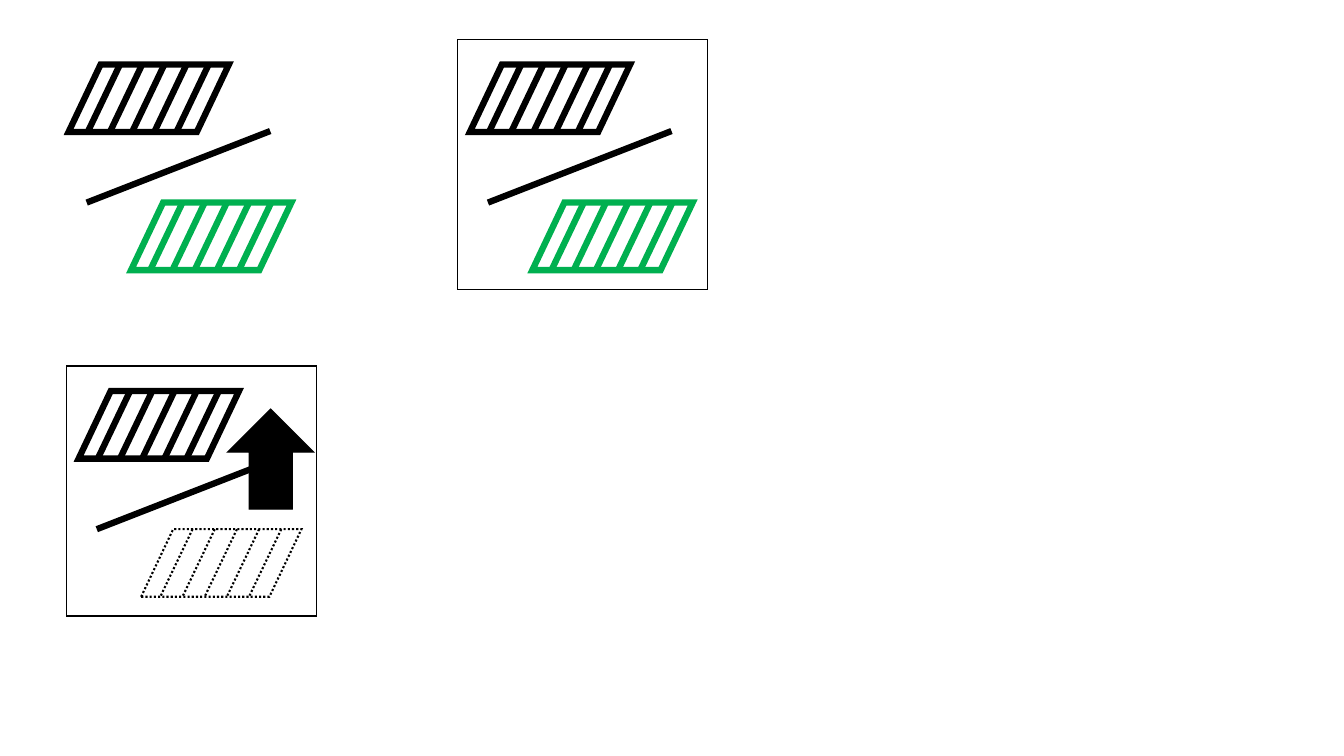
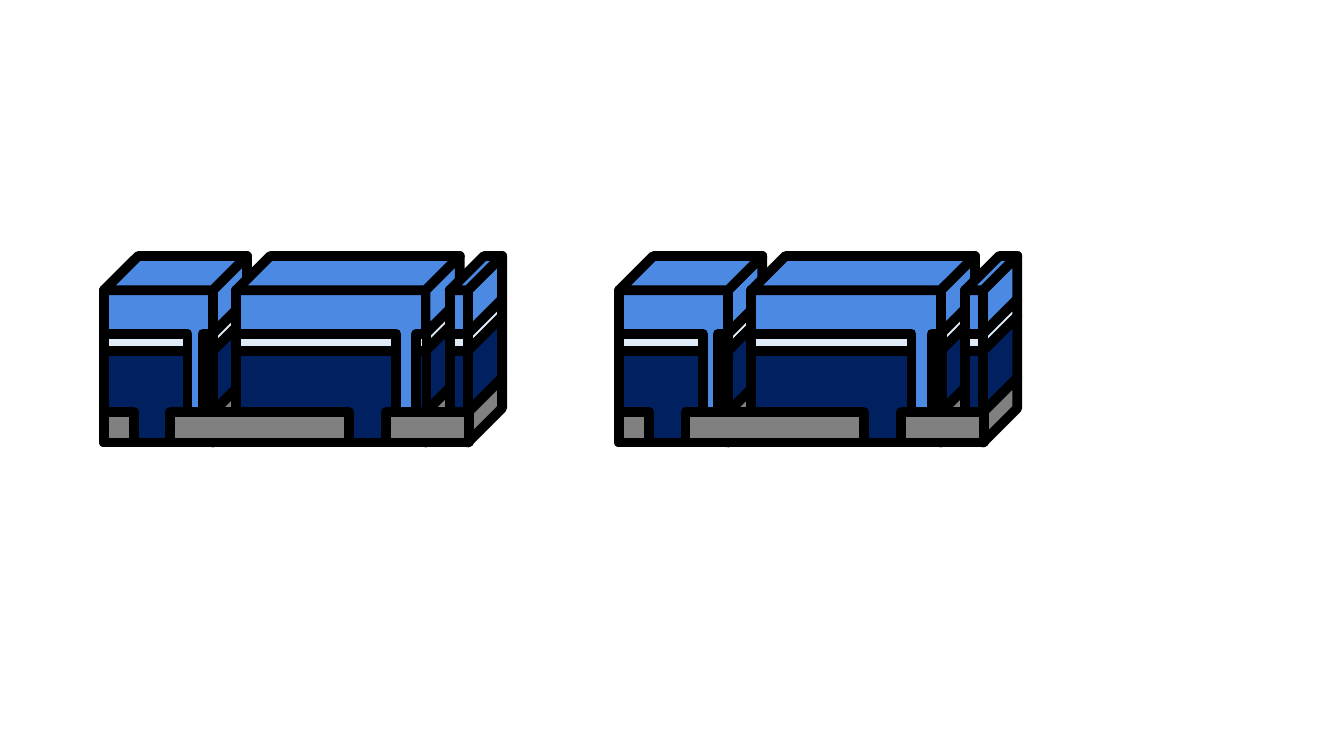
"""Build two slides: hatched panel icons and a pair of banded blocks."""
from lxml.etree import SubElement
from pptx import Presentation
from pptx.dml.color import RGBColor
from pptx.enum.dml import MSO_LINE
from pptx.enum.shapes import MSO_CONNECTOR, MSO_SHAPE
from pptx.oxml.ns import qn
from pptx.util import Inches, Pt

THEME = {
    "ink": "000000", "paper": "FFFFFF", "green": "00B050",
    "blue": "4C89E2", "pale": "DEEBF7", "navy": "002060", "gray": "808080",
}
PENS = {
    "bold": ("ink", "miter", {"width": Pt(4.5)}),
    "leaf": ("green", "miter", {"width": Pt(4.5)}),
    "dots": ("ink", "miter", {"width": Pt(1.5), "dash_style": MSO_LINE.ROUND_DOT}),
    "thin": ("ink", "miter", {"width": Pt(1)}),
    "edge": ("ink", "round", {"width": Pt(7)}),
}

ICONS = [
    {"at": (0.56, 0.39), "frame": False, "low": "leaf", "arrow": False},
    {"at": (4.54, 0.39), "frame": True, "low": "leaf", "arrow": False},
    {"at": (0.66, 3.63), "frame": True, "low": "dots", "arrow": True},
]
FRAME = 2.48
HATCH = {"size": (1.59, 0.67), "first": 0.51, "step": 0.22, "slant": 0.32, "count": 5}
HIGH, LOW = (0.12, 0.25), (0.74, 1.62)
SLASH = (0.3, 1.62, 2.12, 0.91)
ARROW = (1.6, 0.43, 0.85, 0.99)

MODELS = [6.14, 1.03]
DEPTH, SKEW = 0.34, 1.002
BANDS = [("blue", 2.88), ("pale", 3.31), ("navy", 3.48), ("gray", 4.09)]
BASE = 4.39
BLOCKS = [(0, 1.08), (1.31, 1.88), (3.43, 0.18)]
PANELS = [(0, 0.83), (0.98, 0.1), (1.31, 1.59), (3.43, 0.18), (3.1, 0.1)]
FEET = [(0, 0.3), (0.66, 1.77), (2.8, 0.82)]


def tint(name):
    """Return a theme colour."""
    return RGBColor.from_string(THEME[name])


def ink(item, pen):
    """Draw the outline of a shape or connector with a named pen."""
    color, join, form = PENS[pen]
    item.line.color.rgb = tint(color)
    for key, val in form.items():
        setattr(item.line, key, val)
    edge = item.line._get_or_add_ln()
    node = SubElement(edge, qn(f"a:{join}"))
    if join == "miter":
        node.set("lim", "800000")


def shape(group, kind, box, pen, fill=None):
    """Add a preset shape."""
    item = group.shapes.add_shape(kind, *map(Inches, box))
    item.shadow.inherit = False
    if fill:
        item.fill.solid()
        item.fill.fore_color.rgb = tint(fill)
    else:
        item.fill.background()
    ink(item, pen)
    return item


def line(group, ends, pen):
    """Add a straight line without a shadow."""
    item = group.shapes.add_connector(MSO_CONNECTOR.STRAIGHT, *map(Inches, ends))
    ink(item, pen)
    SubElement(item._element.spPr, qn("a:effectLst"))


def hatch(group, left, top, pen):
    """Add a slanted panel with evenly spaced rungs."""
    wide, high = HATCH["size"]
    shape(group, MSO_SHAPE.FLOWCHART_DATA, (left, top, wide, high), pen)
    for num in range(HATCH["count"]):
        x = left + HATCH["first"] + num * HATCH["step"]
        line(group, (x, top, x - HATCH["slant"], top + high), pen)


def icon(group, part):
    """Add one icon with its optional frame and arrow."""
    x, y = part["at"]
    if part["frame"]:
        shape(group, MSO_SHAPE.RECTANGLE, (x, y, FRAME, FRAME), "thin", "paper")
    ax, ay, bx, by = SLASH
    line(group, (x + ax, y + ay, x + bx, y + by), "bold")
    for (dx, dy), pen in ((HIGH, "bold"), (LOW, part["low"])):
        hatch(group, x + dx, y + dy, pen)
    if part["arrow"]:
        dx, dy, wide, high = ARROW
        shape(group, MSO_SHAPE.UP_ARROW, (x + dx, y + dy, wide, high), "thin", "ink")


def side(group, left, top, high, fill):
    """Add a receding side face, turned upright and mirrored."""
    box = (left + (DEPTH - high) / 2, top + (high - DEPTH) / 2, high, DEPTH)
    item = shape(group, MSO_SHAPE.PARALLELOGRAM, box, "edge", fill)
    item.adjustments[0] = SKEW
    item.rotation = 90
    item._element.spPr.find(qn("a:xfrm")).set("flipV", "1")


def model(group, left):
    """Add one row of blocks: sides, fronts, then tops."""
    ends = [top for _, top in BANDS[1:]] + [BASE]
    for x, wide in BLOCKS:
        for (fill, top), end in zip(BANDS, ends):
            side(group, left + x + wide, top - DEPTH, end - top + DEPTH, fill)
    for (fill, top), spans in zip(BANDS, (BLOCKS, PANELS, PANELS, FEET)):
        for x, wide in spans:
            box = (left + x, top, wide, BASE - top)
            shape(group, MSO_SHAPE.RECTANGLE, box, "edge", fill)
    fill, top = BANDS[0]
    for x, wide in reversed(BLOCKS):
        box = (left + x, top - DEPTH, wide + DEPTH, DEPTH)
        shape(group, MSO_SHAPE.PARALLELOGRAM, box, "edge", fill).adjustments[0] = SKEW


def main():
    """Build and save the slides."""
    deck = Presentation()
    deck.slide_width, deck.slide_height = Inches(13.33), Inches(7.5)
    for draw, parts in ((icon, ICONS), (model, MODELS)):
        slide = deck.slides.add_slide(deck.slide_layouts[6])
        for part in parts:
            draw(slide.shapes.add_group_shape(), part)
    deck.save("out.pptx")


if __name__ == "__main__":
    main()
